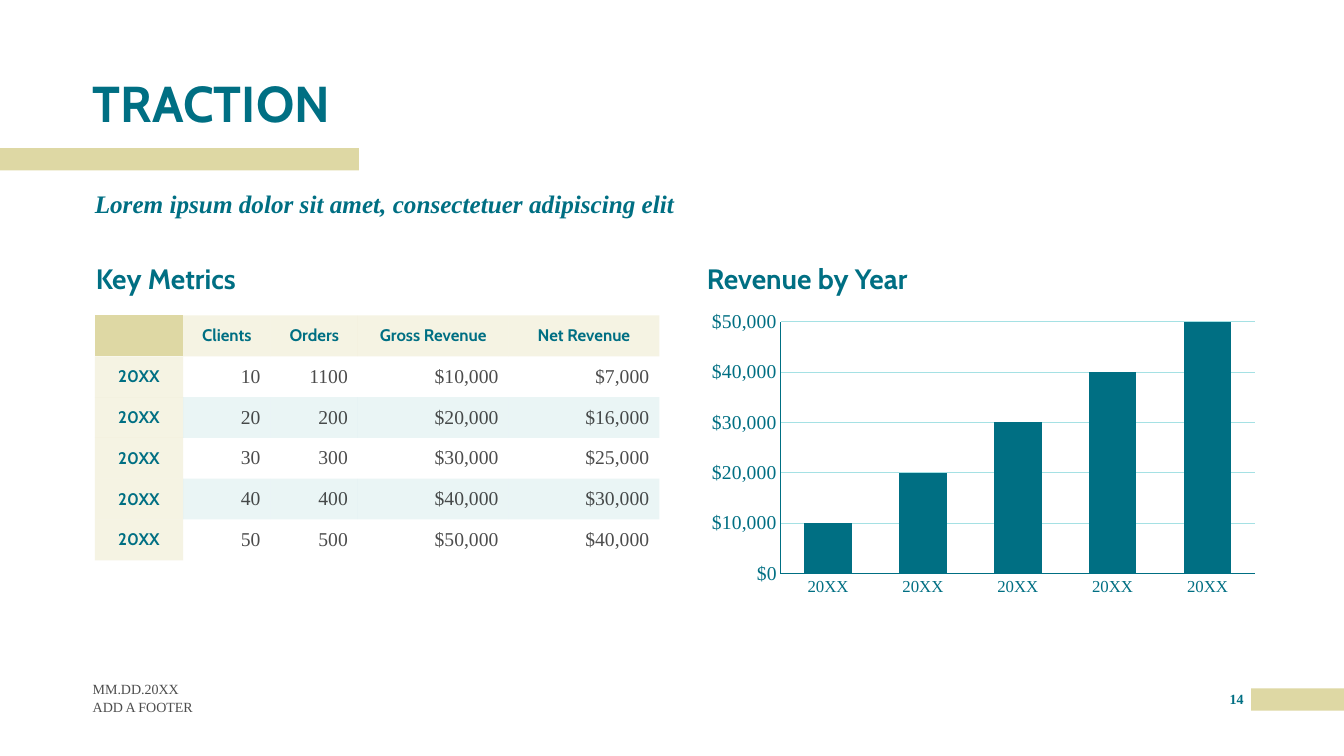
from lxml import etree
from pptx import Presentation
from pptx import util as u
from pptx.chart.data import CategoryChartData
from pptx.dml.color import RGBColor
from pptx.enum import chart as ch, shapes, text
from pptx.oxml.ns import qn

TEAL, SAND, MINT, GRID, INK, GREY = "006F83", "DED8A4", "32A1A6", "A5E1E4", "000000", "4D4D4D"
WINE, MOSS = "790000", "969959"
HEAD, BODY = "Cabin", "Times New Roman"
MONEY = "[$$-409]#,##0"
W, H = 13.33, 7.5

TITLE = dict(name=HEAD, size=36, bold=True, italic=False, color=TEAL)
LEAD = dict(name=BODY, size=18, bold=True, italic=True, color=TEAL)
SUB = dict(TITLE, size=20)
LABEL = dict(TITLE, size=12)
VALUE = dict(name=BODY, size=14, bold=False, color=INK)
FOOT = dict(name=BODY, size=10, bold=False, color=GREY)
PAGE = dict(FOOT, bold=True, color=TEAL)

TOP, BOTTOM = text.MSO_ANCHOR.TOP, text.MSO_ANCHOR.BOTTOM
MID = text.MSO_ANCHOR.MIDDLE
LEFT, CENTER, RIGHT = text.PP_ALIGN.LEFT, text.PP_ALIGN.CENTER, text.PP_ALIGN.RIGHT

bars = [(0, 1.47, 3.56, 0.22), (12.41, 6.83, 0.92, 0.22)]
heads = [
    (0, "TRACTION", (0.92, 0.67, 8.53, 0.65), TITLE, BOTTOM, 0),
    (2, "Lorem ipsum dolor sit amet, consectetuer adipiscing elit",
     (0.94, 1.9, 8.53, 0.53), LEAD, TOP, 10),
    (1, "Key Metrics", (0.95, 2.42, 4.81, 0.51), SUB, BOTTOM, 10),
    (3, "Revenue by Year", (7.01, 2.42, 5.55, 0.51), SUB, BOTTOM, 10),
]
notes = [
    ("MM.DD.20XX", (0.92, 6.67, 3, 0.25), FOOT, BOTTOM, LEFT),
    ("ADD A FOOTER", (0.92, 6.93, 3, 0.25), FOOT, TOP, LEFT),
    ("14", (12.12, 6.85, 0.29, 0.25), PAGE, TOP, CENTER),
]
metrics = [
    ["", "Clients", "Orders", "Gross Revenue", "Net Revenue"],
    ["20XX", "10", "1100", "$10,000", "$7,000"],
    ["20XX", "20", "200", "$20,000", "$16,000"],
    ["20XX", "30", "300", "$30,000", "$25,000"],
    ["20XX", "40", "400", "$40,000", "$30,000"],
    ["20XX", "50", "500", "$50,000", "$40,000"],
]
table_at, widths = (0.94, 3.13, 5.6, 2.43), [0.88, 0.87, 0.87, 1.5, 1.5]
years = ["20XX"] * 5
sales = [
    ("Series 1", [10000, 20000, 30000, 40000, 50000], TEAL),
    ("Series 2", [None] * 5, WINE),
    ("Series 3", [None] * 5, MOSS),
]
plot_box = dict(x=0.14, y=0.055, w=0.84, h=0.85)


def rgb(code):
    return RGBColor.from_string(code)


def box(at):
    return [u.Inches(v) for v in at]


def paint(fill, code):
    fill.solid()
    fill.fore_color.rgb = rgb(code)


def fade(node, share):
    tone = next(node.iter(qn("a:srgbClr")))
    etree.SubElement(tone, qn("a:alpha")).set("val", str(share * 1000))


def style(font, look):
    for key, val in look.items():
        if key == "color":
            font.color.rgb = rgb(val)
        else:
            setattr(font, key, u.Pt(val) if key == "size" else val)


def write(frame, words, look, align):
    par = frame.paragraphs[0]
    par.alignment = align
    run = par.add_run()
    run.text = words
    style(run.font, look)
    return par, run


def fit(frame, anchor):
    form = dict(margin_left=0, margin_right=0, margin_top=0, margin_bottom=0,
                word_wrap=True, auto_size=text.MSO_AUTO_SIZE.NONE, vertical_anchor=anchor)
    for key, val in form.items():
        setattr(frame, key, val)


def add_bars(slide):
    for at in bars:
        bar = slide.shapes.add_shape(shapes.MSO_SHAPE.RECTANGLE, *box(at))
        bar.shadow.inherit = False
        paint(bar.fill, SAND)
        bar.line.fill.background()


def add_text(slide):
    slots = {s.placeholder_format.idx: s for s in slide.placeholders}
    for idx, words, at, look, anchor, gap in heads:
        slot = slots.pop(idx)
        slot.left, slot.top, slot.width, slot.height = box(at)
        fit(slot.text_frame, anchor)
        par, _ = write(slot.text_frame, words, look, LEFT)
        par.line_spacing, par.space_before = 0.9, u.Pt(gap)
        rule = par._p.get_or_add_pPr()
        rule.set("marL", "0")
        rule.set("indent", "0")
        etree.SubElement(rule, qn("a:buNone"))
    for slot in slots.values():
        slot._element.getparent().remove(slot._element)
    for words, at, look, anchor, align in notes:
        note = slide.shapes.add_textbox(*box(at)).text_frame
        fit(note, anchor)
        write(note, words, look, align)


def add_metrics(slide):
    grid = slide.shapes.add_table(len(metrics), len(widths), *box(table_at)).table
    grid.first_row = grid.horz_banding = False
    grid._tbl.tblPr.find(qn("a:tableStyleId")).text = "{2D5ABB26-0587-4C30-8999-92F81FD0307C}"
    for col, wide in zip(grid.columns, widths):
        col.width = u.Inches(table_at[2] * wide / sum(widths))
    for r, row in enumerate(metrics):
        grid.rows[r].height = u.Inches(table_at[3] / len(metrics))
        for c, words in enumerate(row):
            cell, edge = grid.cell(r, c), r == 0 or c == 0
            cell.vertical_anchor = MID
            _, run = write(cell.text_frame, words, LABEL if edge else VALUE,
                           CENTER if edge else RIGHT)
            if not edge:
                fade(run._r, 70)
            if edge or r % 2 == 0:
                paint(cell.fill, SAND if edge else MINT)
                if r or c:
                    fade(cell._tc.tcPr, 30 if edge else 10)
            else:
                cell.fill.background()


def add_sales(slide):
    data = CategoryChartData(number_format=MONEY)
    data.categories = years
    for name, vals, _ in sales:
        data.add_series(name, vals)
    chart = slide.shapes.add_chart(ch.XL_CHART_TYPE.COLUMN_CLUSTERED,
                                   *box((6.96, 3.03, 5.6, 2.94)), data).chart
    chart.has_title = chart.has_legend = False
    style(chart.font, dict(name=BODY, size=10, color=TEAL))
    plot = chart.plots[0]
    plot.gap_width, plot.overlap, plot.vary_by_categories = 100, 100, False
    for item, (_, _, code) in zip(plot.series, sales):
        paint(item.format.fill, code)
    for axis, size in ((chart.category_axis, 12), (chart.value_axis, 14)):
        style(axis.tick_labels.font, dict(name=BODY, size=size, color=TEAL))
        axis.major_tick_mark = axis.minor_tick_mark = ch.XL_TICK_MARK.NONE
        axis.format.line.width = u.Pt(0.75)
        axis.format.line.color.rgb = rgb(TEAL)
    axis = chart.value_axis
    axis.minimum_scale, axis.maximum_scale, axis.major_unit = 0, 50000, 10000
    axis.tick_labels.number_format = MONEY
    axis.tick_labels.number_format_is_linked = False
    line = axis.major_gridlines.format.line
    line.width, line.color.rgb = u.Pt(0.75), rgb(GRID)
    area = chart._chartSpace.find(".//" + qn("c:plotArea"))
    for old in area.findall(qn("c:layout")):
        area.remove(old)
    lay = etree.Element(qn("c:layout"))
    area.insert(0, lay)
    hand = etree.SubElement(lay, qn("c:manualLayout"))
    parts = dict(layoutTarget="inner", xMode="edge", yMode="edge", **plot_box)
    for key, val in parts.items():
        etree.SubElement(hand, qn("c:" + key)).set("val", str(val))


def main():
    deck = Presentation()
    deck.slide_width, deck.slide_height = u.Inches(W), u.Inches(H)
    slide = deck.slides.add_slide(deck.slide_layouts[4])
    add_bars(slide)
    add_text(slide)
    add_metrics(slide)
    add_sales(slide)
    deck.save("out.pptx")


if __name__ == "__main__":
    main()
